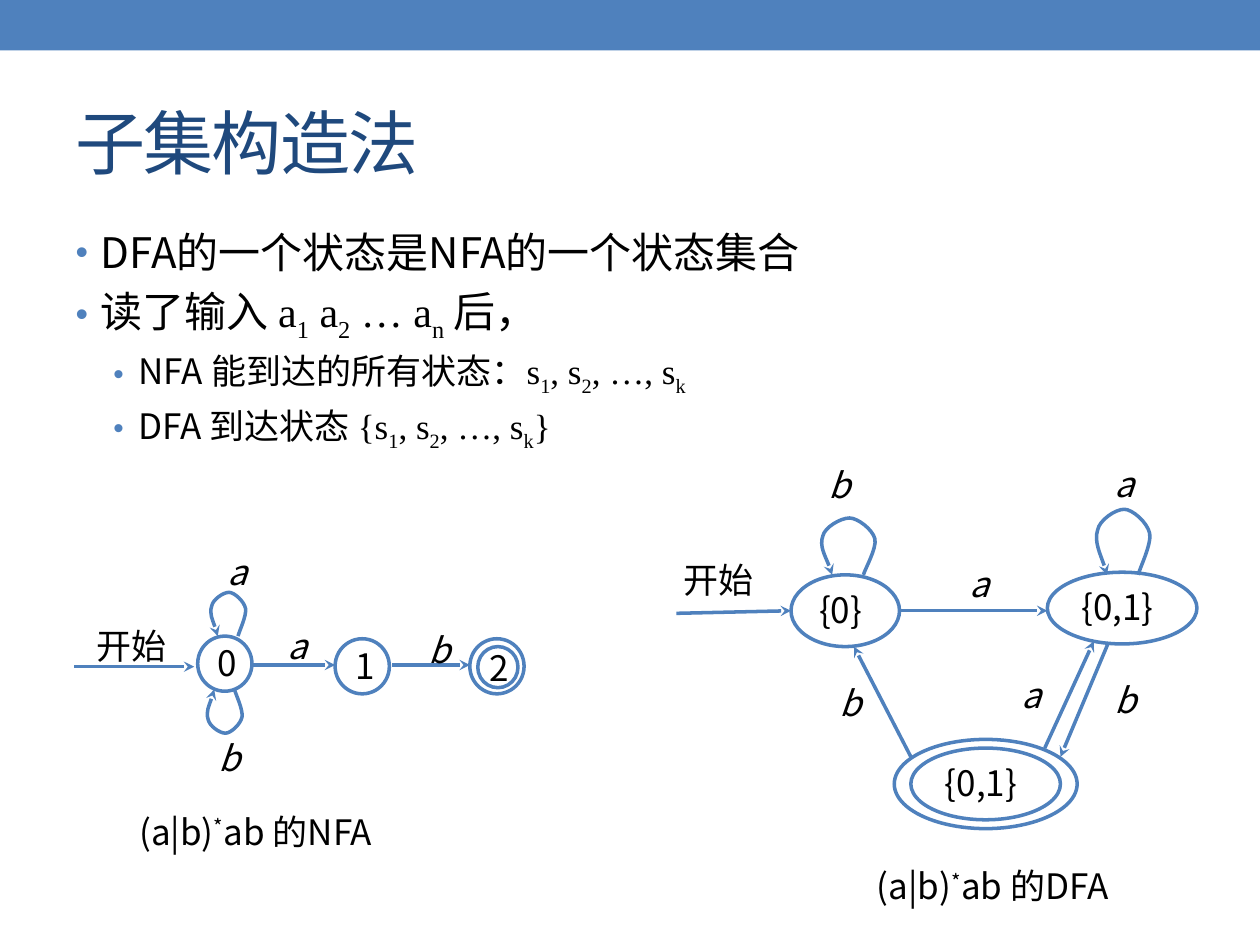
from lxml import etree
from pptx import Presentation
from pptx.dml.color import RGBColor
from pptx.enum.shapes import MSO_CONNECTOR, MSO_SHAPE
from pptx.enum.text import MSO_ANCHOR, MSO_AUTO_SIZE, PP_ALIGN
from pptx.oxml.ns import qn
from pptx.util import Pt

BLUE = RGBColor(0x4F, 0x81, 0xBD)
NAVY = RGBColor(0x1F, 0x49, 0x7D)
BLACK = RGBColor(0, 0, 0)
SANS = "Noto Sans CJK SC"
SERIF = "Times New Roman"
RECTANGLE, ELLIPSE = MSO_SHAPE.RECTANGLE, MSO_SHAPE.OVAL
STRAIGHT = MSO_CONNECTOR.STRAIGHT
TOP, MIDDLE = MSO_ANCHOR.TOP, MSO_ANCHOR.MIDDLE
LEFT = PP_ALIGN.LEFT
NO_FIT, GROW = MSO_AUTO_SIZE.NONE, MSO_AUTO_SIZE.SHAPE_TO_FIT_TEXT

# Self-loop in a unit square: a start point, then control points in threes
LOOP = [(0.77, 1),
        (0.80, 0.89), (1, 0.54), (0.97, 0.37),
        (0.93, 0.20), (0.67, 0), (0.53, 0),
        (0.37, 0), (0.10, 0.17), (0.07, 0.31),
        (0, 0.49), (0.20, 0.86), (0.23, 1)]


def with_subscripts(text):
    """Split serif text into spans; the character after each _ is lowered."""
    head, *rest = text.split("_")
    spans = [(head, SERIF, 0)]
    for piece in rest:
        spans.append((piece[0], SERIF, -25))
        if piece[1:]:
            spans.append((piece[1:], SERIF, 0))
    return spans


class SlideBuilder:
    def __init__(self, page):
        self.page = page
        self.shapes = page.shapes

    def place(self, box, left, top, width, height):
        box.left, box.top = Pt(left), Pt(top)
        box.width, box.height = Pt(width), Pt(height)

    def fill_para(self, para, spans, size, color=BLACK, italic=False):
        """Fill a paragraph with (text, font, baseline percent) spans."""
        para.alignment = LEFT
        para.font.size = Pt(size)
        para.font.name = SANS
        para.font.italic = italic
        para.font.color.rgb = color
        defaults = para._p.pPr.find(qn("a:defRPr"))
        etree.SubElement(defaults, qn("a:ea"), typeface=SANS)
        for text, font, baseline in spans:
            span = para.add_run()
            span.text = text
            if font != SANS:
                span.font.name = font
            if baseline:
                span._r.get_or_add_rPr().set("baseline", str(baseline * 1000))

    def frame(self, box, insets, anchor=TOP):
        frame = box.text_frame
        frame.word_wrap = True
        frame.vertical_anchor = anchor
        (frame.margin_left, frame.margin_top,
         frame.margin_right, frame.margin_bottom) = map(Pt, insets)
        return frame

    def outline(self, shape):
        shape.shadow.inherit = False
        shape.fill.background()
        shape.line.color.rgb = BLUE
        shape.line.width = Pt(2)

    def arrowhead(self, line):
        etree.SubElement(line.line._get_or_add_ln(), qn("a:tailEnd"), type="stealth")

    def bar(self, *area):
        bar = self.shapes.add_shape(RECTANGLE, *map(Pt, area))
        bar.shadow.inherit = False
        bar.fill.solid()
        bar.fill.fore_color.rgb = BLUE
        bar.line.fill.background()

    def title(self, text, *area):
        box = self.shapes.title
        self.place(box, *area)
        box.text_frame.vertical_anchor = MIDDLE
        para = box.text_frame.paragraphs[0]
        self.fill_para(para, [(text, SANS, 0)], 40, NAVY)
        para.runs[0]._r.get_or_add_rPr().set("spc", "-100")

    def bullets(self, items, *area):
        box = self.page.placeholders[1]
        self.place(box, *area)
        frame = box.text_frame
        frame.auto_size = NO_FIT
        for index, (level, spans) in enumerate(items):
            para = frame.add_paragraph() if index else frame.paragraphs[0]
            size = (24, 20)[level]
            para.level = level
            para.space_before = Pt(size * 0.2 if index else 0)
            props = para._p.get_or_add_pPr()
            props.set("marL", str(Pt((14.4, 36)[level])))
            props.set("indent", str(-Pt(14.4)))
            color = etree.SubElement(props, qn("a:buClr"))
            etree.SubElement(color, qn("a:srgbClr"), val=str(BLUE))
            etree.SubElement(props, qn("a:buSzPct"), val="85000")
            etree.SubElement(props, qn("a:buChar"), char="•")
            self.fill_para(para, spans, size)

    def state(self, text, left, top, width=31, height=31.5, insets=(7, 2, 1.5, 3.5)):
        ellipse = self.shapes.add_shape(ELLIPSE, *map(Pt, (left, top, width, height)))
        self.outline(ellipse)
        if text:
            frame = self.frame(ellipse, insets, MIDDLE)
            self.fill_para(frame.paragraphs[0], [(text, SANS, 0)], 20)

    def arrow(self, *ends):
        line = self.shapes.add_connector(STRAIGHT, *map(Pt, ends))
        line.line.color.rgb = BLUE
        line.line.width = Pt(2)
        etree.SubElement(line._element.spPr, qn("a:effectLst"))
        self.arrowhead(line)

    def loop(self, left, top, width, height, flipped=False):
        points = [(Pt(left + x * width), Pt(top + (1 - y if flipped else y) * height))
                  for x, y in LOOP]
        builder = self.shapes.build_freeform(*points[0])
        builder.add_line_segments(points[1:], close=False)
        curve = builder.convert_to_shape()
        # Turn each three line segments into one cubic curve
        outline = curve._element.spPr.find(".//" + qn("a:path"))
        segments = outline.findall(qn("a:lnTo"))
        for first in range(0, len(segments), 3):
            cubic = etree.SubElement(outline, qn("a:cubicBezTo"))
            for segment in segments[first:first + 3]:
                cubic.append(segment[0])
                outline.remove(segment)
        self.outline(curve)
        self.arrowhead(curve)

    def label(self, text, left, top, width=38, height=33, italic=True):
        box = self.shapes.add_textbox(*map(Pt, (left, top, width, height)))
        frame = self.frame(box, (4, 2, 4, 2))
        self.fill_para(frame.paragraphs[0], [(text, SANS, 0)], 20, italic=italic)

    def caption(self, machine, left, top):
        box = self.shapes.add_textbox(*map(Pt, (left, top, 151, 31.5)))
        frame = self.frame(box, (7.2, 3.6, 7.2, 3.6))
        frame.auto_size = GROW
        spans = [("(a|b)", SANS, 0), ("*", SANS, 30), (f"ab 的{machine}", SANS, 0)]
        self.fill_para(frame.paragraphs[0], spans, 20)


def main():
    deck = Presentation()
    deck.slide_width, deck.slide_height = Pt(720), Pt(540)
    slide = SlideBuilder(deck.slides.add_slide(deck.slide_layouts[1]))

    # Heading and bullet list
    slide.bar(0, 0, 720, 28.8)
    slide.title("子集构造法", 36, 42, 648, 78)
    slide.bullets([
        (0, [("DFA的一个状态是NFA的一个状态集合", SANS, 0)]),
        (0, [("读了输入 ", SANS, 0), *with_subscripts("a_1 a_2 … a_n"),
             (" 后，", SANS, 0)]),
        (1, [("NFA 能到达的所有状态：", SANS, 0), *with_subscripts("s_1, s_2, …, s_k")]),
        (1, [("DFA 到达状态 ", SANS, 0), *with_subscripts("{s_1, s_2, …, s_k}")]),
    ], 36, 126, 648, 384)

    # NFA: states, then transitions, then labels
    slide.state("0", 113, 363.5)
    slide.state("1", 191.5, 365)
    slide.state("", 268.5, 365)
    slide.state("2", 273, 369.5, 23, 23.5, insets=(3.6, 0, 0.7, 0))
    for ends in [(42.5, 381, 111, 381), (144.5, 380, 191.5, 380), (224, 380, 268.5, 380)]:
        slide.arrow(*ends)
    slide.loop(119.5, 338.5, 21.5, 25)
    slide.loop(117.5, 394, 21.5, 25, flipped=True)
    slide.label("开始", 51, 355, 50.5, 30, italic=False)
    for text, left, top in [("a", 160.5, 355), ("a", 126, 312.5),
                            ("b", 121, 419), ("b", 241, 357)]:
        slide.label(text, left, top, 25, 26)
    slide.caption("NFA", 72.5, 459.5)

    # DFA: states, then transitions, then labels
    slide.state("{0}", 452, 328.5, 62, 41)
    slide.state("{0,1}", 598.5, 327, 85.5, 41)
    slide.state("", 511, 422.5, 104.5, 51)
    slide.state("{0,1}", 520.5, 427.5, 85.5, 41)
    for ends in [(386.5, 350.5, 452, 349), (514, 349, 598.5, 349),
                 (520.5, 432.5, 488, 369.5), (597, 427.5, 625, 366.5),
                 (633.5, 367, 606, 432.5)]:
        slide.arrow(*ends)
    slide.loop(468, 296, 33, 32.5)
    slide.loop(625, 291, 33, 37.5)
    slide.label("开始", 386.5, 317, 76, 39, italic=False)
    for text, left, top in [("a", 550, 319.5), ("b", 469.5, 263), ("a", 633, 262),
                            ("b", 476, 387.5), ("a", 579.5, 383), ("b", 633, 386)]:
        slide.label(text, left, top)
    slide.caption("DFA", 494, 490.5)

    deck.save("out.pptx")


if __name__ == "__main__":
    main()
